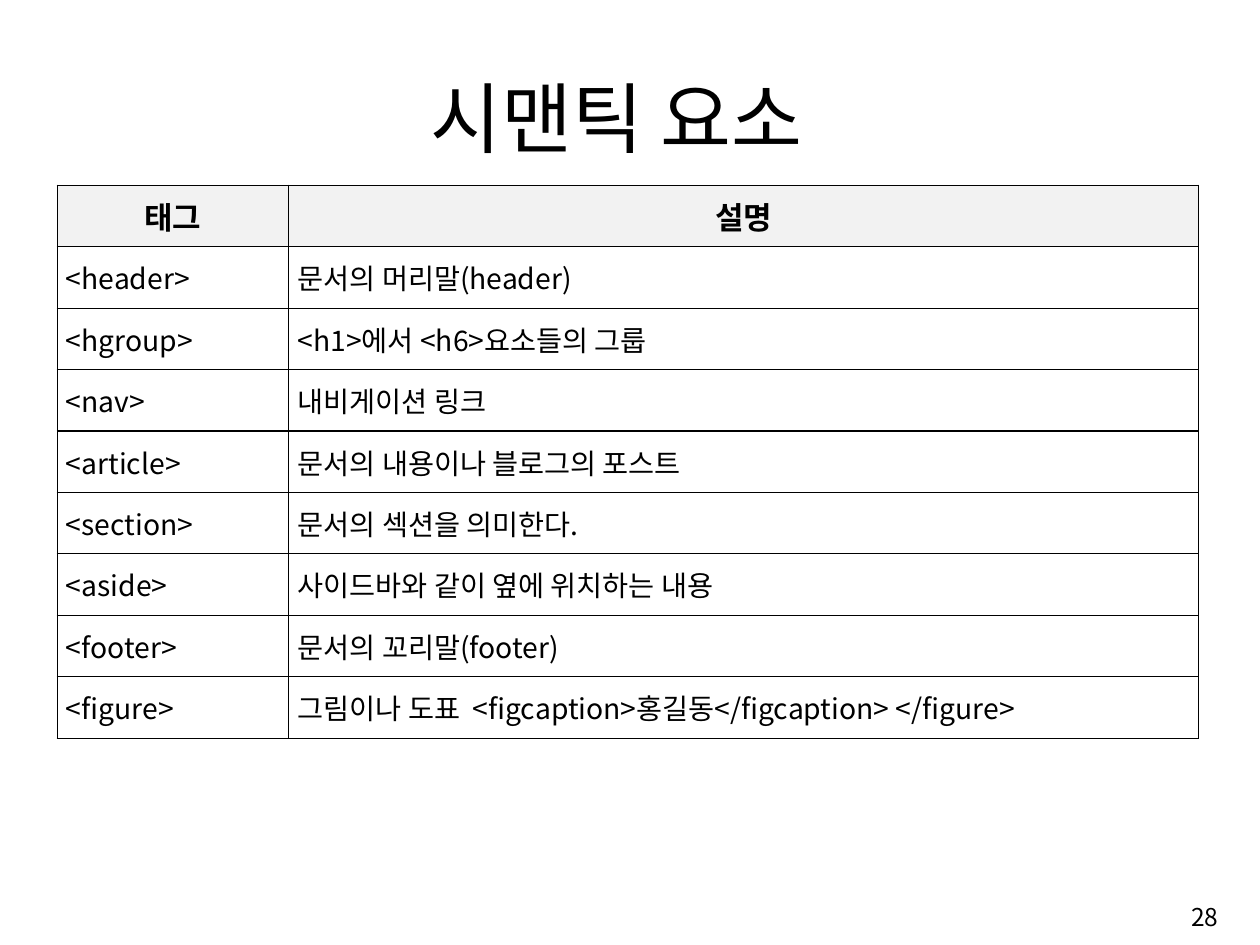
from dataclasses import dataclass

from lxml.etree import SubElement
from pptx import Presentation
from pptx.dml.color import RGBColor
from pptx.enum.text import MSO_ANCHOR, PP_ALIGN
from pptx.oxml.ns import qn
from pptx.util import Inches, Pt


@dataclass(frozen=True)
class Theme:
    """Colours, type sizes and font of the slide."""
    font: str = "Noto Sans CJK KR"
    ink: str = "000000"
    head_fill: str = "F2F2F2"
    title: float = 57.2
    head: float = 23
    body: float = 21
    number: float = 18.2
    rule: float = 1


THEME = Theme()
WIDTH, HEIGHT = Inches(12.99), Inches(9.74)
TAG_SHARE = 20.3
ROWS = [
    ("태그", "설명"),
    ("<header>", "문서의 머리말(header)"),
    ("<hgroup>", "<h1>에서 <h6>요소들의 그룹"),
    ("<nav>", "내비게이션 링크"),
    ("<article>", "문서의 내용이나 블로그의 포스트"),
    ("<section>", "문서의 섹션을 의미한다."),
    ("<aside>", "사이드바와 같이 옆에 위치하는 내용"),
    ("<footer>", "문서의 꼬리말(footer)"),
    ("<figure>", "그림이나 도표  <figcaption>홍길동</figcaption> </figure>"),
]


def area(x, y, w, h):
    """Turn percentages of the slide into a left, top, width, height box."""
    return (int(WIDTH * x / 100), int(HEIGHT * y / 100),
            int(WIDTH * w / 100), int(HEIGHT * h / 100))


def write(tf, text, *, size, align, bold=False, spacing=1.0):
    """Write one formatted paragraph into a text frame."""
    p = tf.paragraphs[0]
    p.alignment, p.line_spacing = align, spacing
    r = p.add_run()
    r.text = text
    r.font.name, r.font.size, r.font.bold = THEME.font, Pt(size), bold
    r.font.color.rgb = RGBColor.from_string(THEME.ink)
    SubElement(r.font._element, qn("a:ea"), typeface=THEME.font)


def add_text(s, text, box, *, anchor, inset, **fmt):
    """Add a wrapped text box."""
    tf = s.shapes.add_textbox(*box).text_frame
    tf.word_wrap, tf.vertical_anchor = True, anchor
    tf.margin_left = tf.margin_right = Inches(inset)
    tf.margin_top = tf.margin_bottom = 0
    write(tf, text, **fmt)


def add_borders(cell):
    """Rule all four sides of a cell."""
    tcPr = cell._tc.get_or_add_tcPr()
    for i, side in enumerate(("lnL", "lnR", "lnT", "lnB")):
        ln = tcPr.makeelement(qn(f"a:{side}"), w=str(Pt(THEME.rule)))
        fill = SubElement(ln, qn("a:solidFill"))
        SubElement(fill, qn("a:srgbClr"), val=THEME.ink)
        tcPr.insert(i, ln)


def fill_cell(cell, text, is_head):
    """Format one table cell as a heading or as body text."""
    cell.vertical_anchor = MSO_ANCHOR.MIDDLE
    cell.margin_left = cell.margin_right = Inches(0.09)
    cell.margin_top = cell.margin_bottom = Inches(0.03)
    if is_head:
        cell.fill.solid()
        cell.fill.fore_color.rgb = RGBColor.from_string(THEME.head_fill)
    else:
        cell.fill.background()
    add_borders(cell)
    write(cell.text_frame, text, bold=is_head,
          size=THEME.head if is_head else THEME.body,
          align=PP_ALIGN.CENTER if is_head else PP_ALIGN.JUSTIFY)


def add_tag_table(s, rows, box):
    """Add the table of tags and their descriptions."""
    table = s.shapes.add_table(len(rows), 2, *box).table
    table.horz_banding = False
    table.columns[0].width = int(box[2] * TAG_SHARE / 100)
    table.columns[1].width = box[2] - table.columns[0].width
    for i, row in enumerate(rows):
        for j, text in enumerate(row):
            fill_cell(table.cell(i, j), text, i == 0)


def main():
    """Build the slide and save it."""
    prs = Presentation()
    prs.slide_width, prs.slide_height = WIDTH, HEIGHT
    s = prs.slides.add_slide(prs.slide_layouts[6])
    add_text(s, "시맨틱 요소", area(8.08, 6.26, 81.68, 11.09),
             anchor=MSO_ANCHOR.BOTTOM, inset=0, size=THEME.title,
             align=PP_ALIGN.CENTER, spacing=0.9)
    add_tag_table(s, ROWS, area(4.54, 19.61, 90.61, 58.52))
    add_text(s, "28", area(76.83, 93.94, 20.63, 6.16),
             anchor=MSO_ANCHOR.MIDDLE, inset=0.1, size=THEME.number,
             align=PP_ALIGN.RIGHT)
    prs.save("out.pptx")


if __name__ == "__main__":
    main()
